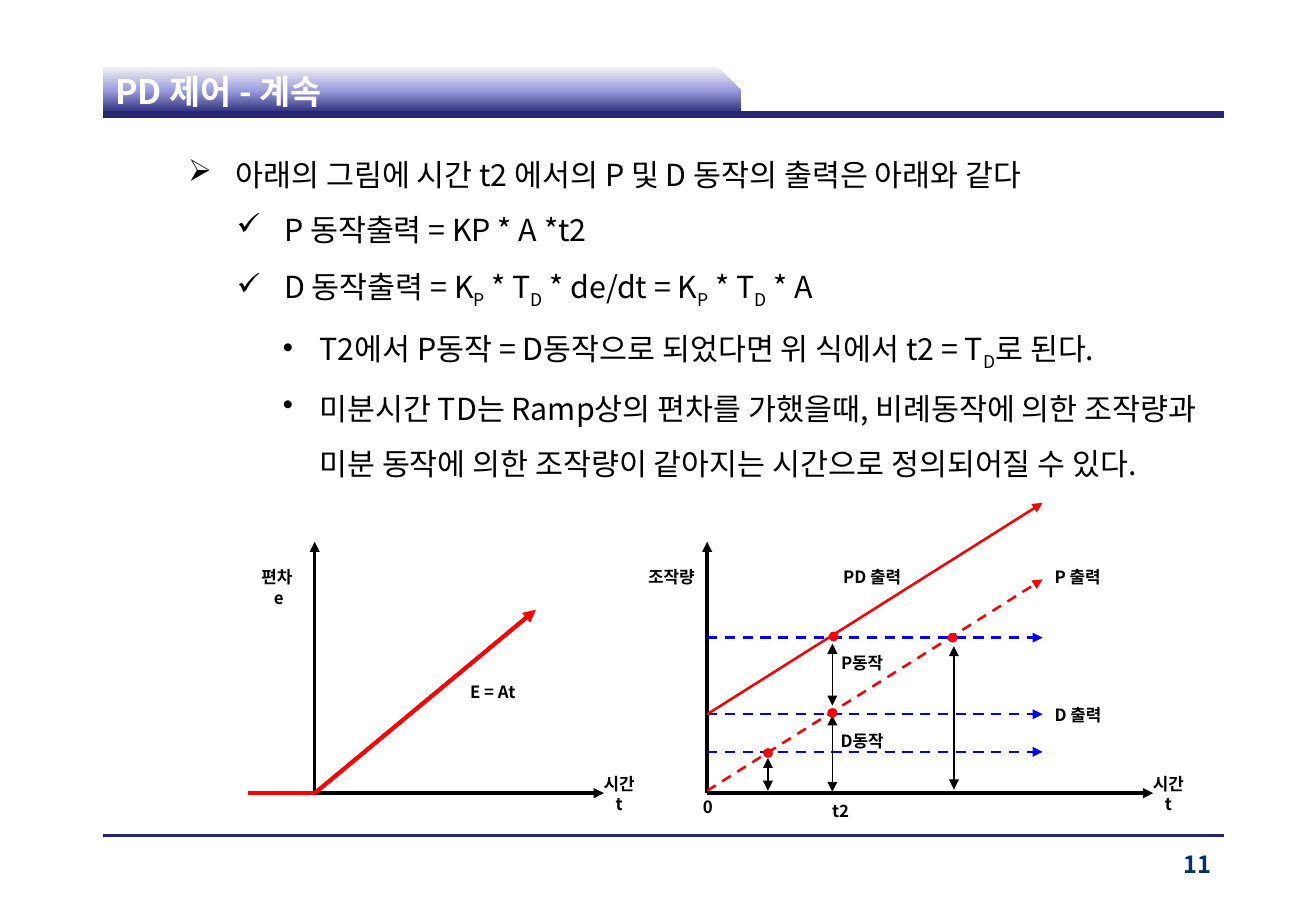
from lxml import etree
from pptx import Presentation
from pptx import util as u
from pptx.dml.color import RGBColor
from pptx.enum import dml, shapes, text
from pptx.oxml.ns import qn

FONT = "Noto Sans CJK KR"
COLORS = {"navy": "262673", "lilac": "9C9CDF", "pale": "F2F2F2", "white": "FFFFFF",
          "number": "003366", "black": "000000", "red": "FF0000", "blue": "0000FF"}
LEFT, CENTER, RIGHT = text.PP_ALIGN.LEFT, text.PP_ALIGN.CENTER, text.PP_ALIGN.RIGHT


def rgb(name):
    """Return the named colour."""
    return RGBColor.from_string(COLORS[name])


def add_run(p, words, size, color="black", bold=False, sub=False):
    """Append one run to a paragraph."""
    r = p.add_run()
    r.text = words
    r.font.size, r.font.bold, r.font.name = u.Pt(size), bold, FONT
    r.font.color.rgb = rgb(color)
    rpr = r._r.get_or_add_rPr()
    etree.SubElement(rpr, qn("a:ea")).set("typeface", FONT)
    if sub:
        rpr.set("baseline", "-25000")


def add_text(s, box, lines=(), size=10, color="black", align=LEFT, anchor=text.MSO_ANCHOR.TOP):
    """Add a wrapping text box with bold lines and return its frame."""
    tf = s.shapes.add_textbox(*map(u.Inches, box)).text_frame
    tf.word_wrap, tf.vertical_anchor = True, anchor
    for i, line in enumerate(lines):
        p = tf.add_paragraph() if i else tf.paragraphs[0]
        p.alignment = align
        add_run(p, line, size, color, bold=True)
    return tf


def add_line(s, start, end, color="black", width=2, arrows=(), dash=False):
    """Add a straight line with optional arrowheads."""
    c = s.shapes.add_connector(shapes.MSO_CONNECTOR.STRAIGHT, *map(u.Inches, (*start, *end)))
    c.line.color.rgb, c.line.width = rgb(color), u.Pt(width)
    if dash:
        c.line.dash_style = dml.MSO_LINE.DASH
    for tag in arrows:
        etree.SubElement(c.line._get_or_add_ln(), qn(f"a:{tag}")).set("type", "triangle")
    etree.SubElement(c._element.spPr, qn("a:effectLst"))


def add_frame(s, box, title, number):
    """Draw the title tab, both rules and the slide number."""
    x, y, w, h = box
    tab = (x, y, 5.25, 0.39)
    sp = s.shapes.add_shape(shapes.MSO_SHAPE.SNIP_1_RECTANGLE, *map(u.Inches, tab))
    sp.adjustments[0] = 0.5
    sp.shadow.inherit = False
    sp.line.fill.background()
    sp.fill.gradient()
    sp.fill.gradient_angle = 270
    stops = sp.fill._fill._gradFill.find(qn("a:gsLst"))
    for stop in list(stops):
        stops.remove(stop)
    for pos, name in ((0, "pale"), (50, "lilac"), (100, "navy")):
        stop = etree.SubElement(stops, qn("a:gs"), pos=str(pos * 1000))
        etree.SubElement(stop, qn("a:srgbClr"), val=COLORS[name])
    for rule_y, width in ((y + 0.39, 4), (y + h, 2)):
        add_line(s, (x, rule_y), (x + w, rule_y), "navy", width)
    add_text(s, tab, [title], 20, "white", anchor=text.MSO_ANCHOR.MIDDLE)
    add_text(s, (x + w - 1.18, y + h + 0.07, 1.18, 0.34), [number], 14, "number", RIGHT)


def add_body(s, box, items):
    """Add bulleted paragraphs whose odd runs are subscripts."""
    levels = {"➢": (0.98, -0.39), "✓": (1.38, -0.39), "•": (1.67, -0.3)}
    tf = add_text(s, box)
    for i, (bullet, *runs) in enumerate(items):
        p = tf.add_paragraph() if i else tf.paragraphs[0]
        p.line_spacing = 1.5
        ppr = p._p.get_or_add_pPr()
        for key, value in zip(("marL", "indent"), levels[bullet]):
            ppr.set(key, str(u.Inches(value)))
        etree.SubElement(ppr, qn("a:buChar")).set("char", bullet)
        for j, words in enumerate(runs):
            add_run(p, words, 18, sub=j % 2 == 1)


def add_axes(s, box, y_title):
    """Draw both axes with their titles."""
    x, y, w, h = box
    base = y + h
    add_line(s, (x, base), (x + w, base), arrows=["tailEnd"])
    add_line(s, (x, base), (x, y), arrows=["tailEnd"])
    add_text(s, (x + w - 0.13, base - 0.21, 0.51, 0.44), ["시간", "t"], align=CENTER)
    add_text(s, (x - 0.63, y + 0.16, 0.67, 0.44), y_title, align=CENTER)


def add_error_graph(s, box):
    """Draw the ramp error graph."""
    x, y, w, h = box
    base = y + h
    add_axes(s, box, ["편차 ", "e"])
    add_text(s, (x + 1.18, y + 1.1, 0.93, 0.27), ["E = At"])
    add_line(s, (x, base), (x + 1.82, base - 1.51), "red", 2.5, ["tailEnd"])
    add_line(s, (x - 0.55, base), (x, base), "red", 2.5)


def add_output_graph(s, box):
    """Draw the P, D and PD output graph."""
    x, y, w, h = box
    base, span, rise = y + h, 2.76, 1.74
    add_axes(s, box, ["조작량"])
    for level in (0.34, 0.65, 1.28):
        add_line(s, (x, base - level), (x + span, base - level), "blue", 1.5, ["tailEnd"], True)
    for start, dash in ((0.02, True), (0.65, False)):
        add_line(s, (x, base - start), (x + span, base - start - rise), "red", 1.5,
                 ["tailEnd"], dash)
    for t, low, high in ((0.5, 0.02, 0.29), (1.03, 0.01, 0.64), (1.03, 0.72, 1.23),
                         (2.03, 0.03, 1.21)):
        add_line(s, (x + t, base - high), (x + t, base - low), width=0.75,
                 arrows=["headEnd", "tailEnd"])
    for t, level in ((0.5, 0.33), (1.03, 0.66), (1.04, 1.29), (2.02, 1.28)):
        dot = s.shapes.add_shape(shapes.MSO_SHAPE.OVAL, u.Inches(x + t - 0.04),
                                 u.Inches(base - level - 0.04), u.Inches(0.08), u.Inches(0.08))
        dot.shadow.inherit = False
        dot.fill.solid()
        dot.fill.fore_color.rgb = rgb("red")
        dot.line.fill.background()
    for words, dx, dy, width, align in (
            ("0", -0.19, 2.05, 0.39, CENTER), ("t2", 0.93, 2.08, 1.18, LEFT),
            ("P동작", 0.96, 0.86, 0.63, CENTER), ("D동작", 0.96, 1.51, 0.63, CENTER),
            ("PD 출력", 1.02, 0.16, 0.87, LEFT), ("P 출력", span, 0.16, 0.71, LEFT),
            ("D 출력", span, 1.29, 0.71, LEFT)):
        add_text(s, (x + dx, y + dy, width, 0.27), [words], align=align)


def main():
    """Build and save the slide."""
    prs = Presentation()
    prs.slide_width, prs.slide_height = u.Inches(10.83), u.Inches(7.5)
    s = prs.slides.add_slide(prs.slide_layouts[6])
    add_frame(s, (0.85, 0.55, 9.22, 6.33), "PD 제어 - 계속", "11")
    add_body(s, (0.86, 1.09, 9.14, 3.74), [
        ("➢", "아래의 그림에 시간 t2 에서의 P 및 D 동작의 출력은 아래와 같다"),
        ("✓", "P 동작출력 = KP * A *t2"),
        ("✓", "D 동작출력 = K", "P", " * T", "D", " * de/dt = K", "P", " * T", "D", " * A"),
        ("•", "T2에서 P동작 = D동작으로 되었다면 위 식에서 t2 = T", "D", "로 된다."),
        ("•", "미분시간 TD는 Ramp상의 편차를 가했을때, 비례동작에 의한 조작량과 미분 동작에 "
              "의한 조작량이 같아지는 시간으로 정의되어질 수 있다."),
    ])
    add_error_graph(s, (2.59, 4.46, 2.38, 2.07))
    add_output_graph(s, (5.82, 4.46, 3.67, 2.07))
    prs.save("out.pptx")


if __name__ == "__main__":
    main()
